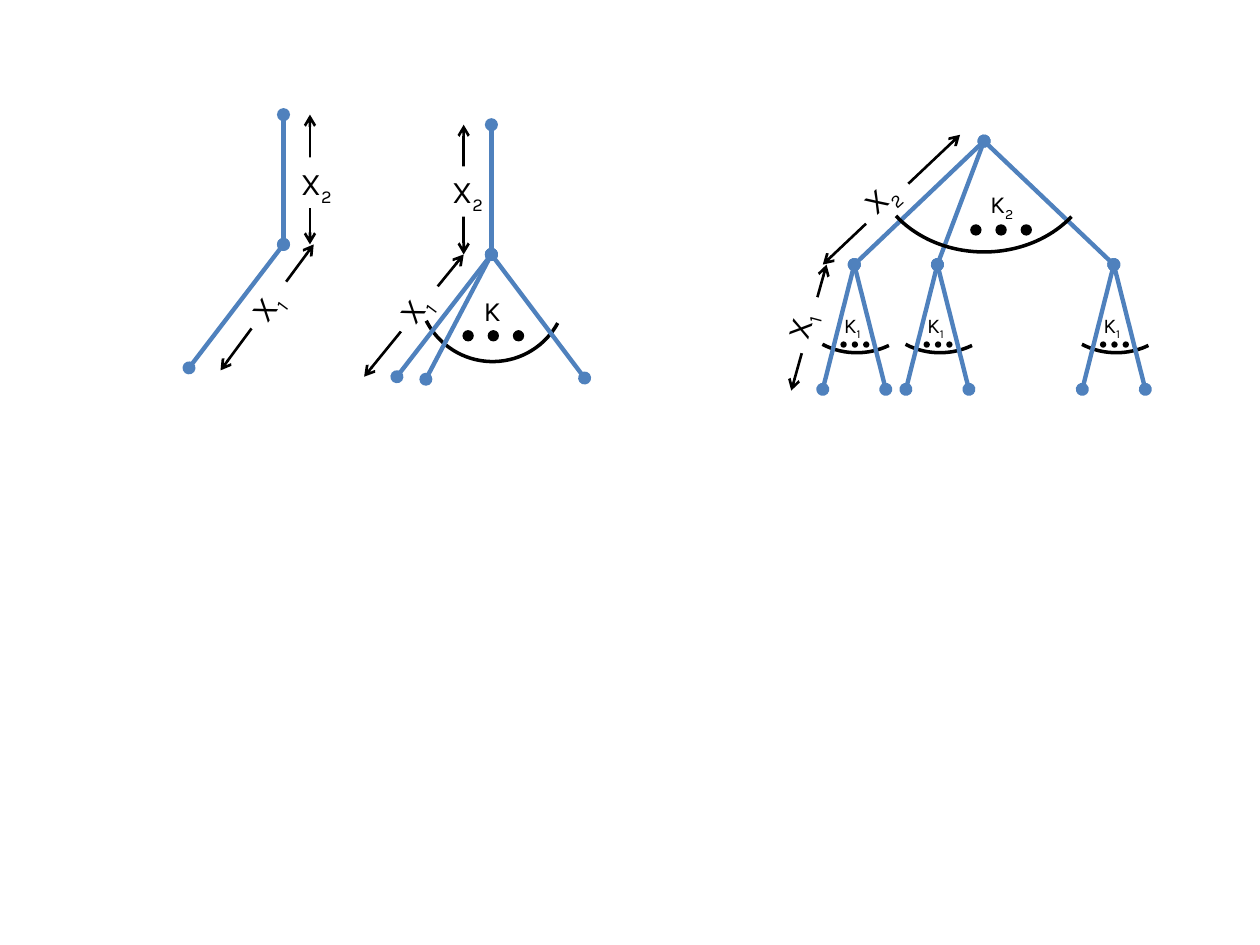
import pptx
import pptx.util
import pptx.dml.color
import pptx.enum.shapes
import pptx.enum.text
import pptx.oxml.ns
import lxml.etree

Inches = pptx.util.Inches
SHAPE = pptx.enum.shapes.MSO_SHAPE
BLACK = pptx.dml.color.RGBColor(0x00, 0x00, 0x00)
WHITE = pptx.dml.color.RGBColor(0xFF, 0xFF, 0xFF)
BLUE = pptx.dml.color.RGBColor(0x4F, 0x81, 0xBD)


def write(frame, text, subscript="", size=18, font="Karla", color=BLACK):
    frame.word_wrap = False
    frame.auto_size = pptx.enum.text.MSO_AUTO_SIZE.SHAPE_TO_FIT_TEXT
    for part in filter(None, (text, subscript)):
        run = frame.paragraphs[0].add_run()
        run.text = part
        run.font.size = pptx.util.Pt(size)
        run.font.name = font
        run.font.color.rgb = color
    if subscript:
        run.font._element.set("baseline", "-25000")


class TreeDiagram:
    def __init__(self, slide):
        self.slide = slide
        self.shapes = slide.shapes

    def open_group(self):
        self.shapes = self.slide.shapes.add_group_shape().shapes

    def close_group(self):
        self.shapes = self.slide.shapes

    def line(self, start, end, color, width, ends):
        link = self.shapes.add_connector(
            pptx.enum.shapes.MSO_CONNECTOR.STRAIGHT,
            *[Inches(v) for v in (*start, *end)])
        link.line.color.rgb = color
        link.line.width = pptx.util.Pt(width)
        outline = link.line._get_or_add_ln()
        for tag in ("a:headEnd", "a:tailEnd"):
            lxml.etree.SubElement(outline, pptx.oxml.ns.qn(tag), type=ends)
        lxml.etree.SubElement(link._element.spPr, pptx.oxml.ns.qn("a:effectLst"))

    def edge(self, start, end):
        self.line(start, end, BLUE, 2.5, "oval")

    def label(self, box, text, subscript="", size=18, rotation=0, fill=None):
        tag = self.shapes.add_textbox(*[Inches(v) for v in box])
        tag.rotation = rotation
        if fill is not None:
            tag.fill.solid()
            tag.fill.fore_color.rgb = fill
        write(tag.text_frame, text, subscript, size=size)

    def dimension(self, start, end, corner, subscript, rotation=0):
        self.line(start, end, BLACK, 1.5, "arrow")
        self.label((*corner, 0.46, 0.4), "X", subscript, rotation=rotation, fill=WHITE)

    def arc(self, box, rotation, angles):
        sweep = self.shapes.add_shape(SHAPE.ARC, *[Inches(v) for v in box])
        sweep.shadow.inherit = False
        sweep.rotation = rotation
        for index, angle in enumerate(angles):
            sweep.adjustments[index] = angle
        sweep.fill.background()
        sweep.line.color.rgb = BLACK
        sweep.line.width = pptx.util.Pt(2)

    def dots(self, left, top, size, step):
        for index in range(3):
            dot = self.shapes.add_shape(
                SHAPE.OVAL, Inches(left + index * step), Inches(top),
                Inches(size), Inches(size))
            dot.shadow.inherit = False
            dot.fill.solid()
            dot.fill.fore_color.rgb = BLACK
            dot.line.fill.background()

    def small_fan(self, x, y):
        self.open_group()
        self.arc((x - 0.57, y - 0.48, 1.18, 1.18), 73.3, (210.67, 26.55))
        self.dots(x - 0.11, y + 0.61, 0.05, 0.09)
        self.label((x - 0.18, y + 0.33, 0.36, 0.3), "K", "1", size=12)
        for reach in (-0.25, 0.25):
            self.edge((x + reach, y + 0.99), (x, y))
        self.close_group()


presentation = pptx.Presentation()
presentation.slide_width = Inches(10)
presentation.slide_height = Inches(7.5)
tree = TreeDiagram(presentation.slides.add_slide(presentation.slide_layouts[6]))

tree.dimension((3.68, 2.02), (3.68, 0.99), (3.49, 1.32), "2")
tree.dimension((2.89, 2.99), (3.68, 2.02), (3.07, 2.23), "1", 306.8)
tree.dimension((2.46, 1.94), (2.46, 0.91), (2.29, 1.25), "2")
tree.dimension((1.75, 2.94), (2.49, 1.94), (1.89, 2.21), "1", 306.8)

chain_joint = (2.25, 1.94)
for chain_end in ((2.25, 0.91), (1.5, 2.92)):
    tree.edge(chain_end, chain_joint)

tree.arc((3.32, 1.69, 1.18, 1.18), 73.3, (189.33, 47.93))
tree.dots(3.67, 2.62, 0.09, 0.2)
tree.label((3.74, 2.28, 0.33, 0.37), "K", size=16)
star_joint = (3.9, 2.02)
for star_end in ((3.15, 2.99), (3.9, 0.99), (4.64, 3), (3.38, 3.01)):
    tree.edge(star_end, star_joint)

tree.dimension((6.53, 2.1), (7.62, 1.07), (6.76, 1.36), "2", 317.8)
tree.dimension((6.28, 3.1), (6.56, 2.1), (6.12, 2.36), "1", 285)
root = (7.81, 1.12)
for branch in ((6.78, 2.1), (8.84, 2.1), (7.44, 2.1)):
    tree.edge(branch, root)
    tree.small_fan(*branch)

tree.open_group()
tree.dots(7.7, 1.78, 0.09, 0.2)
tree.close_group()
tree.arc((7.06, 0.36, 1.5, 1.78), 90, (182.48, 33.88))
tree.label((7.76, 1.45, 0.39, 0.34), "K", "2", size=14)

presentation.save("out.pptx")
